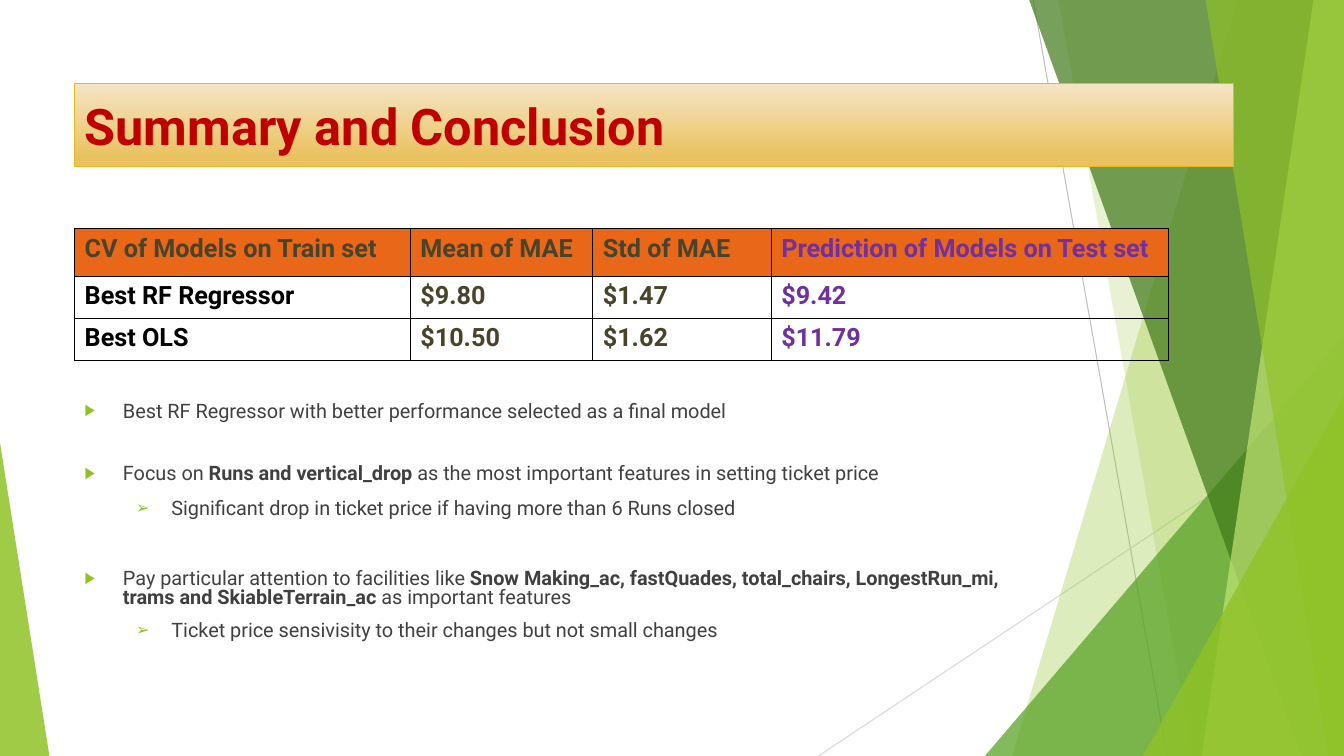
from lxml import etree
from pptx import Presentation
from pptx.dml.color import RGBColor
from pptx.enum.shapes import MSO_CONNECTOR, MSO_SHAPE
from pptx.enum.text import MSO_ANCHOR, MSO_AUTO_SIZE, PP_ALIGN
from pptx.oxml.ns import qn
from pptx.util import Inches, Pt

STRAIGHT = MSO_CONNECTOR.STRAIGHT
TRIANGLE = MSO_SHAPE.ISOSCELES_TRIANGLE
MIDDLE, TOP = MSO_ANCHOR.MIDDLE, MSO_ANCHOR.TOP
NO_AUTOFIT = MSO_AUTO_SIZE.NONE
LEFT = PP_ALIGN.LEFT

WIDTH, HEIGHT = Inches(13.33), Inches(7.5)
FONT = "Roboto"

BLACK = RGBColor(0x00, 0x00, 0x00)
LIME = RGBColor(0x90, 0xC2, 0x26)
GREEN = RGBColor(0x54, 0xA0, 0x21)
FOREST = RGBColor(0x3F, 0x78, 0x19)
PALE_LIME = RGBColor(0xC0, 0xE4, 0x74)
GREY = RGBColor(0xBF, 0xBF, 0xBF)
LIGHT_GREY = RGBColor(0xD9, 0xD9, 0xD9)
CREAM = RGBColor(0xF5, 0xE5, 0xC5)
SAND = RGBColor(0xE9, 0xC2, 0x60)
GOLD = RGBColor(0xE6, 0xB9, 0x1E)
RED = RGBColor(0xC0, 0x00, 0x00)
ORANGE = RGBColor(0xE8, 0x67, 0x18)
OLIVE = RGBColor(0x48, 0x43, 0x2A)
PURPLE = RGBColor(0x70, 0x30, 0xA0)
TEXT_GREY = RGBColor(0x40, 0x40, 0x40)

LINES = [((76.88, 0), (86.85, 100), GREY), ((100, 53.73), (60.9, 100), LIGHT_GREY)]

TABLE_COLUMNS = [24.98, 13.58, 13.28, 29.55]
TABLE_ROWS = [6.27, 5.6, 5.6]
TABLE_TEXT = [
    ["CV of Models on Train set", "Mean of MAE", "Std of MAE", "Prediction of Models on Test set"],
    ["Best RF Regressor", "$9.80", "$1.47", "$9.42"],
    ["Best OLS", "$10.50", "$1.62", "$11.79"],
]
HEADER_COLORS = [OLIVE, OLIVE, OLIVE, PURPLE]
ROW_COLORS = [BLACK, OLIVE, OLIVE, PURPLE]

BULLET_STYLES = [("▶", 0.38, -0.38), ("➢", 0.86, -0.35)]
BULLETS = [
    (0, 1.0, 0, [("Best RF Regressor with better performance selected as a final model", False)]),
    (0, 1.0, 27.7, [
        ("Focus on ", False),
        ("Runs and vertical_drop", True),
        (" as the most important features in setting ticket price", False),
    ]),
    (1, 0.9, 10, [("Significant drop in ticket price if having more than 6 Runs closed", False)]),
    (0, 0.8, 36, [
        ("Pay particular attention to facilities like ", False),
        ("Snow Making_ac, fastQuades, total_chairs, LongestRun_mi, trams and SkiableTerrain_ac", True),
        (" as important features", False),
    ]),
    (1, 0.8, 10, [("Ticket price sensivisity to their changes but not small changes", False)]),
]


def across(percent):
    return round(WIDTH * percent / 100)


def down(percent):
    return round(HEIGHT * percent / 100)


def apply(target, formats):
    for name, value in formats.items():
        setattr(target, name, value)


def place(shape, left, top, width, height):
    apply(shape, {"left": across(left), "top": down(top),
                  "width": across(width), "height": down(height)})


def add_text(paragraph, text, size, color, bold):
    run = paragraph.add_run()
    run.text = text
    apply(run.font, {"name": FONT, "size": Pt(size), "bold": bold})
    run.font.color.rgb = color


def add_line(slide, start, end, color):
    line = slide.shapes.add_connector(
        STRAIGHT, across(start[0]), down(start[1]), across(end[0]), down(end[1]))
    line.line.color.rgb = color
    line.line.width = Pt(0.75)
    etree.SubElement(line._element.spPr, qn("a:effectLst"))


def paint(shape, color, opacity):
    shape.shadow.inherit = False
    shape.line.fill.background()
    shape.fill.solid()
    shape.fill.fore_color.rgb = color
    rgb = shape._element.spPr.find(qn("a:solidFill")).find(qn("a:srgbClr"))
    etree.SubElement(rgb, qn("a:alpha"), val=str(opacity * 1000))


def add_band(slide, top_x, bottom_x, color, opacity):
    builder = slide.shapes.build_freeform(across(top_x), 0, scale=1.0)
    builder.add_line_segments([(WIDTH, 0), (WIDTH, HEIGHT), (across(bottom_x), HEIGHT)])
    paint(builder.convert_to_shape(), color, opacity)


def add_corner(slide, left, top, width, apex, color, opacity):
    triangle = slide.shapes.add_shape(
        TRIANGLE, across(left), down(top), across(width), HEIGHT - down(top))
    triangle.adjustments[0] = apex
    paint(triangle, color, opacity)


def add_backdrop(slide):
    for start, end, color in LINES:
        add_line(slide, start, end, color)
    add_band(slide, 92.1, 75.3, LIME, 30)
    add_band(slide, 78.75, 88.73, LIME, 20)
    add_corner(slide, 73.28, 44.4, 26.72, 1, GREEN, 72)
    add_band(slide, 76.58, 96.83, FOREST, 70)
    add_band(slide, 97.73, 89.4, PALE_LIME, 70)
    add_band(slide, 89.7, 98.85, LIME, 65)
    add_corner(slide, 85.05, 52.4, 14.95, 1, LIME, 80)
    add_corner(slide, 0, 58.53, 3.68, 0, LIME, 85)


def bring_to_front(shape):
    shape._element.getparent().append(shape._element)


def fill_title(title):
    place(title, 5.55, 11.07, 86.25, 10.93)
    bring_to_front(title)
    title.fill.gradient()
    title.fill.gradient_angle = 270
    for stop, position, color in zip(title.fill.gradient_stops, (0, 0.88), (CREAM, SAND)):
        stop.position = position
        stop.color.rgb = color
    title.line.color.rgb = GOLD
    title.line.width = Pt(1)
    apply(title.text_frame, {"auto_size": NO_AUTOFIT, "vertical_anchor": MIDDLE, "word_wrap": True})
    paragraph = title.text_frame.paragraphs[0]
    paragraph.alignment = LEFT
    add_text(paragraph, "Summary and Conclusion", 36, RED, True)


def set_bullet(paragraph, level):
    symbol, margin, indent = BULLET_STYLES[level]
    properties = paragraph._p.get_or_add_pPr()
    properties.set("marL", str(Inches(margin)))
    properties.set("indent", str(Inches(indent)))
    color = etree.SubElement(properties, qn("a:buClr"))
    etree.SubElement(color, qn("a:srgbClr"), val=str(LIME))
    etree.SubElement(properties, qn("a:buSzPct"), val="80000")
    etree.SubElement(properties, qn("a:buChar"), char=symbol)


def fill_body(body):
    place(body, 5.55, 52, 70.5, 36)
    bring_to_front(body)
    frame = body.text_frame
    apply(frame, {"auto_size": NO_AUTOFIT, "vertical_anchor": TOP, "word_wrap": True})
    for index, (level, spacing, before, runs) in enumerate(BULLETS):
        paragraph = frame.add_paragraph() if index else frame.paragraphs[0]
        apply(paragraph, {"level": level, "line_spacing": spacing,
                          "space_before": Pt(before), "alignment": LEFT})
        set_bullet(paragraph, level)
        for text, bold in runs:
            add_text(paragraph, text, 14.2, TEXT_GREY, bold)


def add_borders(cell):
    properties = cell._tc.get_or_add_tcPr()
    for side in ("a:lnL", "a:lnR", "a:lnT", "a:lnB"):
        border = etree.SubElement(properties, qn(side), w=str(Pt(1)))
        fill = etree.SubElement(border, qn("a:solidFill"))
        etree.SubElement(fill, qn("a:srgbClr"), val=str(BLACK))


def add_results_table(slide):
    table = slide.shapes.add_table(
        len(TABLE_ROWS), len(TABLE_COLUMNS), across(5.55), down(30.27),
        across(sum(TABLE_COLUMNS)), down(sum(TABLE_ROWS))).table
    apply(table, {"first_row": False, "horz_banding": False})
    for column, width in zip(table.columns, TABLE_COLUMNS):
        column.width = across(width)
    for row_index, (row, height) in enumerate(zip(table.rows, TABLE_ROWS)):
        row.height = down(height)
        colors = ROW_COLORS if row_index else HEADER_COLORS
        for cell, text, color in zip(row.cells, TABLE_TEXT[row_index], colors):
            add_borders(cell)
            if row_index:
                cell.fill.background()
            else:
                cell.fill.solid()
                cell.fill.fore_color.rgb = ORANGE
            add_text(cell.text_frame.paragraphs[0], text, 18, color, True)


def main():
    presentation = Presentation()
    apply(presentation, {"slide_width": WIDTH, "slide_height": HEIGHT})
    slide = presentation.slides.add_slide(presentation.slide_layouts[1])
    add_backdrop(slide)
    fill_title(slide.shapes.title)
    fill_body(slide.placeholders[1])
    add_results_table(slide)
    presentation.save("out.pptx")


if __name__ == "__main__":
    main()
